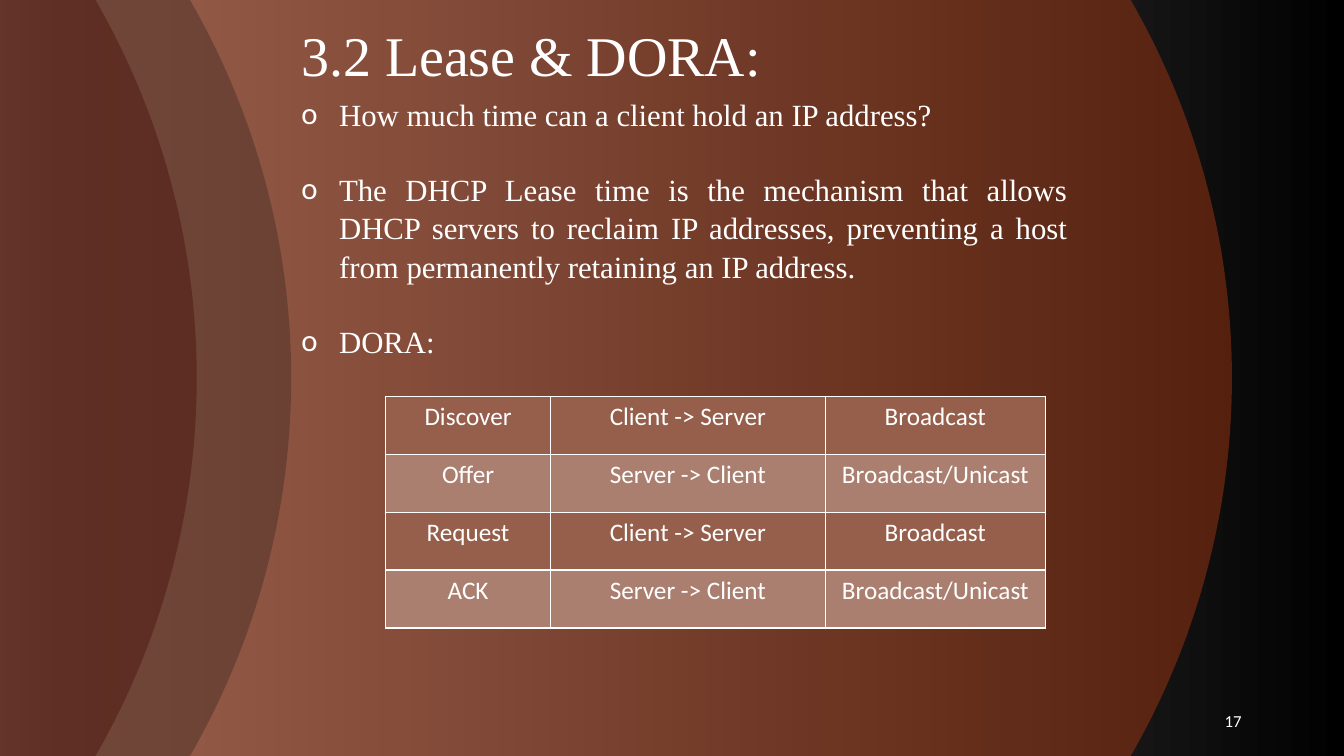
"""Build the slide on DHCP lease time and the DORA exchange."""
from copy import deepcopy

from lxml.etree import SubElement
from pptx import Presentation
from pptx.dml.color import RGBColor
from pptx.enum.shapes import MSO_SHAPE
from pptx.enum.text import MSO_ANCHOR, MSO_AUTO_SIZE, PP_ALIGN
from pptx.oxml.ns import qn
from pptx.util import Pt

WHITE = RGBColor(0xFF, 0xFF, 0xFF)
BLACK = RGBColor(0x00, 0x00, 0x00)
GREY = RGBColor(0x94, 0x88, 0x89)
LIGHT_GREY = RGBColor(0xBD, 0xB5, 0xB6)
RUST = RGBColor(0x9E, 0x36, 0x11)
BROWN = RGBColor(0x4A, 0x31, 0x28)
MAROON = RGBColor(0x4E, 0x17, 0x10)
ROW_DARK = RGBColor(0x96, 0x5F, 0x4B)
ROW_LIGHT = RGBColor(0xAB, 0x7F, 0x6F)


def add_run(paragraph, text, size, font_name):
    run = paragraph.add_run()
    run.text = text
    run.font.size = Pt(size)
    run.font.name = font_name
    run.font.color.rgb = WHITE


def place(shape, left, top, width, height):
    shape.left, shape.top = Pt(left), Pt(top)
    shape.width, shape.height = Pt(width), Pt(height)
    shape.text_frame.word_wrap = True
    shape.text_frame.auto_size = MSO_AUTO_SIZE.NONE
    shape.text_frame.vertical_anchor = MSO_ANCHOR.TOP


deck = Presentation()
deck.slide_width, deck.slide_height = Pt(960), Pt(540)
slide = deck.slides.add_slide(deck.slide_layouts[1])
tree = slide.shapes._spTree

backdrop = slide.background.fill
backdrop.gradient()
backdrop.gradient_angle = 180
stop_list = slide._element.find(".//" + qn("a:gsLst"))
stop_list.append(deepcopy(stop_list[-1]))
shades = [(0, BLACK), (0.95, GREY), (1, LIGHT_GREY)]
for stop, (position, shade) in zip(backdrop.gradient_stops, shades):
    stop.position = position
    stop.color.rgb = shade

for left, colour in [(-200, RUST), (-872, BROWN), (-939.5, MAROON)]:
    disc = slide.shapes.add_shape(
        MSO_SHAPE.OVAL, Pt(left), Pt(-270), Pt(1080), Pt(1080))
    disc.shadow.inherit = False
    disc.line.fill.background()
    disc.fill.solid()
    disc.fill.fore_color.rgb = colour
    tint = disc._element.spPr.find(".//" + qn("a:srgbClr"))
    SubElement(tint, qn("a:alpha"), val="50000")

heading = slide.shapes.title
tree.append(heading._element)
place(heading, 208, 10.8, 611, 104)
heading_line = heading.text_frame.paragraphs[0]
heading_line.alignment = PP_ALIGN.LEFT
add_run(heading_line, "3.2 Lease & DORA:", 40, "Times New Roman")

lease_points = slide.placeholders[1]
tree.append(lease_points._element)
place(lease_points, 208, 63.4, 561.6, 193.7)
points = [
    "How much time can a client hold an IP address?",
    "The DHCP Lease time is the mechanism that allows DHCP servers to reclaim "
    "IP addresses, preventing a host from permanently retaining an IP address.",
    "DORA:",
]
for index, point in enumerate(points):
    frame = lease_points.text_frame
    line = frame.add_paragraph() if index else frame.paragraphs[0]
    properties = line._p.get_or_add_pPr()
    properties.set("marL", str(Pt(27)))
    properties.set("indent", str(Pt(-27)))
    SubElement(properties, qn("a:buFont"), typeface="Calibri")
    SubElement(properties, qn("a:buChar"), char="o")
    line.alignment = PP_ALIGN.JUSTIFY
    line.line_spacing = 1.04
    line.space_before = Pt(26.3 if index else 0)
    add_run(line, point, 22, "Times New Roman")

steps = [
    ("Discover", "Client -> Server", "Broadcast"),
    ("Offer", "Server -> Client", "Broadcast/Unicast"),
    ("Request", "Client -> Server", "Broadcast"),
    ("ACK", "Server -> Client", "Broadcast/Unicast"),
]
dora = slide.shapes.add_table(
    4, 3, Pt(275.6), Pt(283), Pt(471), Pt(165.6)).table
dora.first_row = dora.horz_banding = False
for column, width in zip(dora.columns, (117.5, 196.5, 157)):
    column.width = Pt(width)
for row_index, step in enumerate(steps):
    dora.rows[row_index].height = Pt(41.4)
    for column_index, text in enumerate(step):
        cell = dora.cell(row_index, column_index)
        cell_properties = cell._tc.get_or_add_tcPr()
        for side in ("a:lnL", "a:lnR", "a:lnT", "a:lnB"):
            border = SubElement(cell_properties, qn(side), w=str(Pt(1)))
            paint = SubElement(border, qn("a:solidFill"))
            SubElement(paint, qn("a:srgbClr"), val=str(WHITE))
        cell.fill.solid()
        cell.fill.fore_color.rgb = ROW_LIGHT if row_index % 2 else ROW_DARK
        entry = cell.text_frame.paragraphs[0]
        entry.alignment = PP_ALIGN.CENTER
        add_run(entry, text, 18, "Calibri")

page_number = slide.shapes.add_textbox(Pt(0), Pt(0), Pt(0), Pt(0))
place(page_number, 678, 500.5, 216, 28.8)
page_number.text_frame.vertical_anchor = MSO_ANCHOR.MIDDLE
page_line = page_number.text_frame.paragraphs[0]
page_line.alignment = PP_ALIGN.RIGHT
add_run(page_line, "17", 12, "Calibri")

deck.save("out.pptx")
